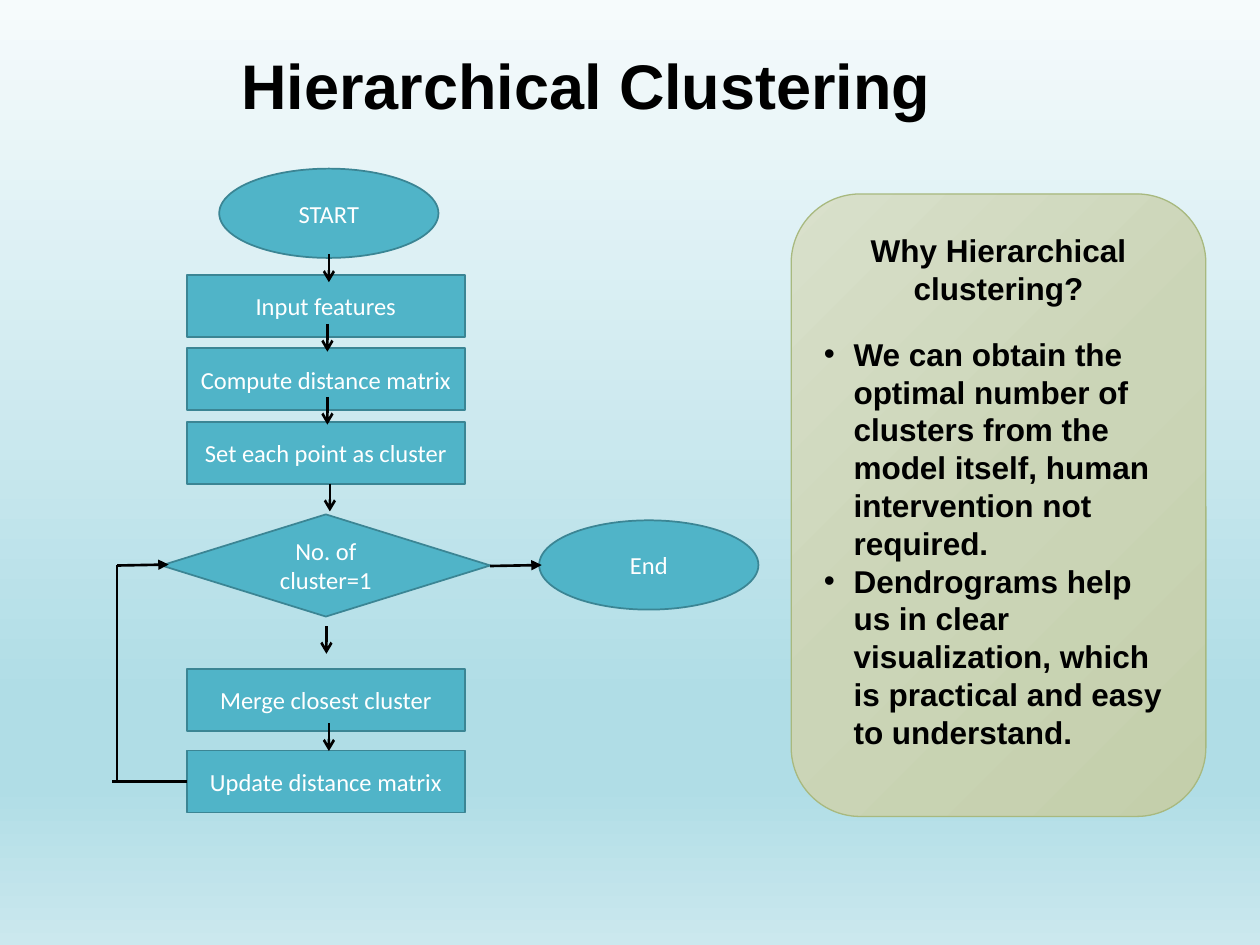
from copy import deepcopy

from pptx import Presentation, util as u
from pptx.dml.color import RGBColor
from pptx.enum import shapes as s, text as t
from pptx.oxml.ns import qn
from lxml import etree

BLACK = RGBColor(0x00, 0x00, 0x00)
WHITE = RGBColor(0xFF, 0xFF, 0xFF)
TEAL = RGBColor(0x50, 0xB4, 0xC8)
EDGE = RGBColor(0x3B, 0x85, 0x94)
OLIVE = RGBColor(0xA8, 0xB9, 0x7F)
SKY = [(0, RGBColor(0xF6, 0xFB, 0xFC)), (74, RGBColor(0xB0, 0xDD, 0xE6)),
       (83, RGBColor(0xB0, 0xDD, 0xE6)), (100, RGBColor(0xCB, 0xE8, 0xEE))]
SAGE = [(0, RGBColor(0xD9, 0xE0, 0xCB)), (50, RGBColor(0xCB, 0xD5, 0xB7)),
        (100, RGBColor(0xC4, 0xCF, 0xAB))]


def write(frame, words, size=14, face="Calibri", color=WHITE, bold=False,
          align=t.PP_ALIGN.CENTER, gap=0, bullet=False):
    frame.word_wrap = True
    para = frame.add_paragraph() if frame.text else frame.paragraphs[0]
    para.alignment = align
    if gap:
        para.space_before = u.Pt(gap)
    if bullet:
        props = para._p.get_or_add_pPr()
        props.set("marL", str(u.Cm(0.6)))
        props.set("indent", str(u.Cm(-0.6)))
        etree.SubElement(props, qn("a:buFont"), typeface="Arial")
        etree.SubElement(props, qn("a:buChar"), char="•")
    run = para.add_run()
    run.text = words
    run.font.size, run.font.name = u.Pt(size), face
    run.font.bold, run.font.color.rgb = bold, color


def blend(fill, root, stops, angle):
    fill.gradient()
    fill.gradient_angle = 360 - angle
    group = next(root.iter(qn("a:gsLst")))
    for _ in stops[2:]:
        group.append(deepcopy(group[0]))
    for stop, (place, color) in zip(fill.gradient_stops, stops):
        stop.position, stop.color.rgb = place / 100, color


deck = Presentation()
deck.slide_width, deck.slide_height = u.Cm(25.4), u.Cm(19.05)
slide = deck.slides.add_slide(deck.slide_layouts[6])
blend(slide.background.fill, slide.element, SKY, 90)

# Title
title = slide.shapes.add_textbox(u.Cm(1.4), u.Cm(0.81), u.Cm(20.83), u.Cm(1.8))
write(title.text_frame, "Hierarchical Clustering", size=36, face="Arial",
      color=BLACK, bold=True)

# Flowchart steps: kind, centre x, top, label
SIZES = {
    s.MSO_SHAPE.OVAL: (4.42, 1.8),
    s.MSO_SHAPE.RECTANGLE: (5.61, 1.25),
    s.MSO_SHAPE.FLOWCHART_DECISION: (6.63, 2.06),
}
MID = 6.57
steps = [
    (s.MSO_SHAPE.OVAL, 6.63, 3.4, "START"),
    (s.MSO_SHAPE.RECTANGLE, MID, 5.54, "Input features"),
    (s.MSO_SHAPE.RECTANGLE, MID, 7.02, "Compute distance matrix"),
    (s.MSO_SHAPE.RECTANGLE, MID, 8.51, "Set each point as cluster"),
    (s.MSO_SHAPE.RECTANGLE, MID, 13.49, "Merge closest cluster"),
    (s.MSO_SHAPE.RECTANGLE, MID, 15.13, "Update distance matrix"),
    (s.MSO_SHAPE.FLOWCHART_DECISION, MID, 10.37, "No. of cluster=1"),
    (s.MSO_SHAPE.OVAL, 13.08, 10.49, "End"),
]
for kind, mid, top, label in steps:
    wide, high = SIZES[kind]
    step = slide.shapes.add_shape(kind, u.Cm(mid - wide / 2), u.Cm(top),
                                  u.Cm(wide), u.Cm(high))
    step.shadow.inherit = False
    step.fill.solid()
    step.fill.fore_color.rgb = TEAL
    step.line.color.rgb = EDGE
    step.line.width = u.Pt(1)
    step.text_frame.vertical_anchor = t.MSO_ANCHOR.MIDDLE
    write(step.text_frame, label)

# Short arrows down, arrows to and from the decision, and the loop back
DROP = 0.56
downs = [(6.63, 5.13), (6.6, 6.53), (6.6, 8.0), (6.65, 9.75), (6.58, 12.62),
         (6.63, 14.58)]
lines = [(x, y, x, y + DROP, "arrow") for x, y in downs] + [
    (9.88, 11.41, 10.92, 11.39, "triangle"),
    (2.36, 11.4, 3.4, 11.38, "triangle"),
    (3.76, 15.75, 2.26, 15.75, None),
    (2.36, 15.75, 2.36, 11.38, None),
]
for x1, y1, x2, y2, head in lines:
    link = slide.shapes.add_connector(s.MSO_CONNECTOR.STRAIGHT, u.Cm(x1),
                                      u.Cm(y1), u.Cm(x2), u.Cm(y2))
    link.line.color.rgb = BLACK
    link.line.width = u.Pt(1.5)
    if head:
        etree.SubElement(link.line._get_or_add_ln(), qn("a:tailEnd"), type=head)
    etree.SubElement(link._element.spPr, qn("a:effectLst"))

# Panel of reasons
panel = slide.shapes.add_shape(s.MSO_SHAPE.ROUNDED_RECTANGLE, u.Cm(15.95),
                               u.Cm(3.91), u.Cm(8.36), u.Cm(12.55))
panel.shadow.inherit = False
blend(panel.fill, panel._element, SAGE, 45)
panel.line.color.rgb = OLIVE
panel.line.width = u.Pt(0.75)
frame = panel.text_frame
frame.vertical_anchor = t.MSO_ANCHOR.MIDDLE
frame.margin_bottom = u.Cm(0.7)
bold = dict(size=18, face="Arial", color=BLACK, bold=True)
write(frame, "Why Hierarchical clustering?", **bold)
reasons = [
    ("We can obtain the optimal number of clusters from the model itself, "
     "human intervention not required.", 16),
    ("Dendrograms help us in clear visualization, which is practical and "
     "easy to understand.", 0),
]
for reason, gap in reasons:
    write(frame, reason, align=t.PP_ALIGN.LEFT, gap=gap, bullet=True, **bold)

deck.save("out.pptx")
